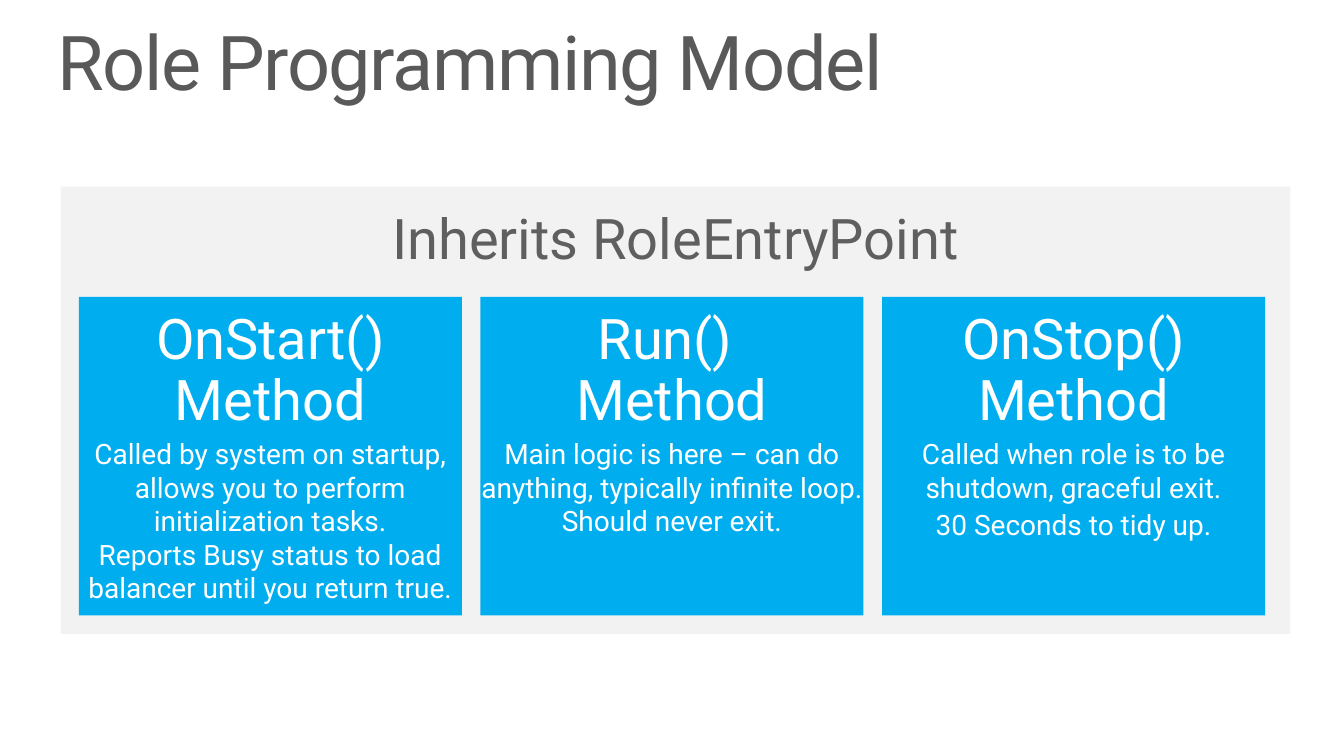
"""Build the Role Programming Model slide."""
from pptx import Presentation
from pptx.dml.color import RGBColor
from pptx.enum.shapes import MSO_SHAPE
from pptx.enum.text import PP_ALIGN
from pptx.util import Pt

TITLE = "Role Programming Model"
PANEL_HEADING = "Inherits RoleEntryPoint"
METHODS = [
    ("OnStart() Method", [
        "Called by system on startup, allows you to perform initialization tasks.\n"
        "Reports Busy status to load balancer until you return true.",
    ]),
    ("Run() \nMethod", [
        "Main logic is here – can do anything, typically infinite loop. Should never exit.",
    ]),
    ("OnStop() Method", [
        "Called when role is to be shutdown, graceful exit.",
        "30 Seconds to tidy up.",
    ]),
]
COLORS = {
    "title": "595959",
    "heading": "5F5F5F",
    "panel": "F2F2F2",
    "card": "00AEEF",
    "card_text": "FFFFFF",
}
FONT = "Roboto"
PANEL_LEFT, PANEL_WIDTH = 43.4, 878.4
CARD_LEFT, CARD_TOP, CARD_WIDTH, CARD_HEIGHT = 56.3, 212, 273.6, 227.6
CARD_PITCH = 286.9
CARD_TEXT_INSET = 10.4


def add_rectangle(slide, left, top, width, height, color):
    """Add a plain filled rectangle."""
    shape = slide.shapes.add_shape(
        MSO_SHAPE.RECTANGLE, Pt(left), Pt(top), Pt(width), Pt(height))
    shape.shadow.inherit = False
    shape.fill.solid()
    shape.fill.fore_color.rgb = RGBColor.from_string(COLORS[color])
    shape.line.fill.background()


def add_frame(slide, left, top, width, height):
    """Add a wrapping text box without margins and return its text frame."""
    frame = slide.shapes.add_textbox(Pt(left), Pt(top), Pt(width), Pt(height)).text_frame
    frame.word_wrap = True
    frame.margin_left = frame.margin_top = frame.margin_right = frame.margin_bottom = 0
    return frame


def write(paragraph, text, *, size, color, align=PP_ALIGN.CENTER,
          line_spacing=1.0, before=0, tracking=0):
    """Put formatted text in a paragraph."""
    paragraph.text = text
    paragraph.alignment = align
    paragraph.line_spacing = line_spacing
    paragraph.space_before = Pt(before)
    for run in paragraph.runs:
        run.font.name = FONT
        run.font.size = Pt(size)
        run.font.color.rgb = RGBColor.from_string(COLORS[color])
        if tracking:
            run._r.get_or_add_rPr().set("spc", str(tracking * 100))


def add_card(slide, left, heading, details):
    """Add one method card with its heading and details."""
    add_rectangle(slide, left, CARD_TOP, CARD_WIDTH, CARD_HEIGHT, "card")
    frame = add_frame(slide, left, CARD_TOP + CARD_TEXT_INSET,
                      CARD_WIDTH, CARD_HEIGHT - CARD_TEXT_INSET)
    write(frame.paragraphs[0], heading, size=40, color="card_text", line_spacing=0.9)
    for detail in details:
        write(frame.add_paragraph(), detail, size=20, color="card_text", before=3)


def main():
    """Compose and save the slide."""
    presentation = Presentation()
    presentation.slide_width, presentation.slide_height = Pt(960), Pt(540)
    slide = presentation.slides.add_slide(presentation.slide_layouts[6])

    title = add_frame(slide, 41, 18, 878, 59)
    write(title.paragraphs[0], TITLE, size=54, color="title",
          align=PP_ALIGN.LEFT, line_spacing=0.9, tracking=-1)

    add_rectangle(slide, PANEL_LEFT, 133.4, PANEL_WIDTH, 319.4, "panel")
    heading = add_frame(slide, PANEL_LEFT, 145.4, PANEL_WIDTH, 48)
    write(heading.paragraphs[0], PANEL_HEADING, size=40, color="heading")

    for index, (name, details) in enumerate(METHODS):
        add_card(slide, CARD_LEFT + index * CARD_PITCH, name, details)

    presentation.save("out.pptx")


if __name__ == "__main__":
    main()
